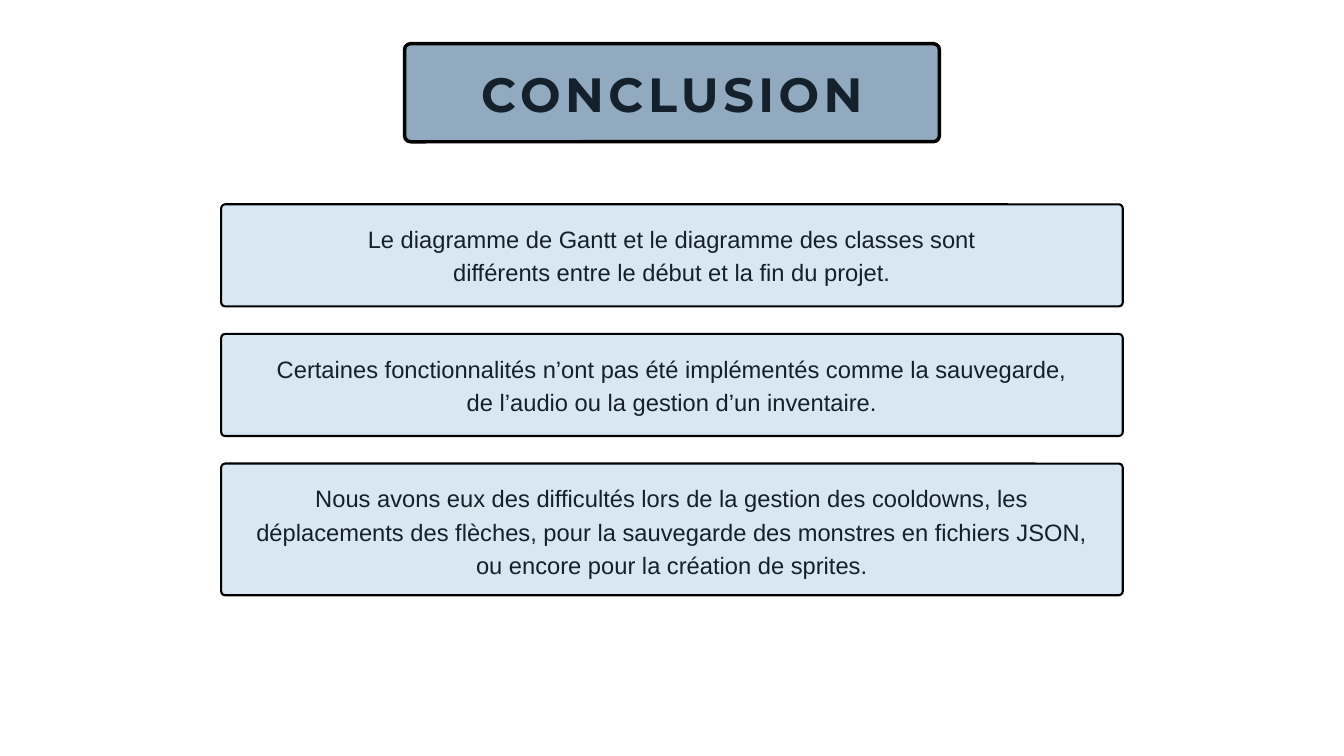
from pptx import Presentation
from pptx.dml.color import RGBColor
from pptx.enum.shapes import MSO_SHAPE
from pptx.enum.text import MSO_ANCHOR, PP_ALIGN
from pptx.util import Pt

ROUNDED = MSO_SHAPE.ROUNDED_RECTANGLE
CENTER = PP_ALIGN.CENTER
TOP = MSO_ANCHOR.TOP

COLORS = {"title": "91AABF", "card": "D8E7F2", "line": "000000", "text": "14202B"}

SLIDE_W, SLIDE_H = 1440, 810
CARD_W, CARD_TOP, CARD_GAP = 966, 218.9, 29.5
CARD_TEXT_OFFSET = 16.9
LINE_H = 35.6

# text, card height, text width, number of lines
CARDS = [
    ("Le diagramme de Gantt et le diagramme des classes sont différents "
     "entre le début et la fin du projet.", 109.4, 729.4, 2),
    ("Certaines fonctionnalités n’ont pas été implémentés comme la sauvegarde, "
     "de l’audio ou la gestion d’un inventaire.", 109.4, 854, 2),
    ("Nous avons eux des difficultés lors de la gestion des cooldowns, les "
     "déplacements des flèches, pour la sauvegarde des monstres en fichiers JSON, "
     "ou encore pour la création de sprites.", 141.1, 910, 3),
]


def rgb(name):
    return RGBColor.from_string(COLORS[name])


def centered(width):
    """Left edge that centres an element on the slide."""
    return Pt((SLIDE_W - width) / 2)


def add_panel(slide, top, width, height, radius, fill, line_width):
    sp = slide.shapes.add_shape(ROUNDED, centered(width), Pt(top), Pt(width), Pt(height))
    sp.adjustments[0] = radius / height
    sp.shadow.inherit = False
    sp.fill.solid()
    sp.fill.fore_color.rgb = rgb(fill)
    sp.line.color.rgb = rgb("line")
    sp.line.width = Pt(line_width)


def add_text(slide, text, top, width, height, font, size, line_height):
    """Add a centred text box and return its run."""
    box = slide.shapes.add_textbox(centered(width), Pt(top), Pt(width), Pt(height))
    tf = box.text_frame
    tf.word_wrap = True
    tf.vertical_anchor = TOP
    tf.margin_left = tf.margin_right = tf.margin_top = tf.margin_bottom = 0
    p = tf.paragraphs[0]
    p.text = text
    p.alignment = CENTER
    p.line_spacing = Pt(line_height)
    r = p.runs[0]
    r.font.name = font
    r.font.size = Pt(size)
    r.font.color.rgb = rgb("text")
    return r


def add_title(slide):
    add_panel(slide, 46.8, 573.1, 105.1, 6.5, "title", 3.75)
    r = add_text(slide, "CONCLUSION", 66.2, 424, 64.1, "Montserrat", 51.5, 64.6)
    r.font.bold = True
    r.font._element.set("spc", "480")


def add_cards(slide):
    top = CARD_TOP
    for text, height, text_width, lines in CARDS:
        add_panel(slide, top, CARD_W, height, 4.3, "card", 2.25)
        add_text(slide, text, top + CARD_TEXT_OFFSET, text_width, lines * LINE_H,
                 "Arial", 25.4, LINE_H)
        top += height + CARD_GAP


def main():
    prs = Presentation()
    prs.slide_width, prs.slide_height = Pt(SLIDE_W), Pt(SLIDE_H)
    slide = prs.slides.add_slide(prs.slide_layouts[6])
    add_title(slide)
    add_cards(slide)
    prs.save("out.pptx")


if __name__ == "__main__":
    main()
